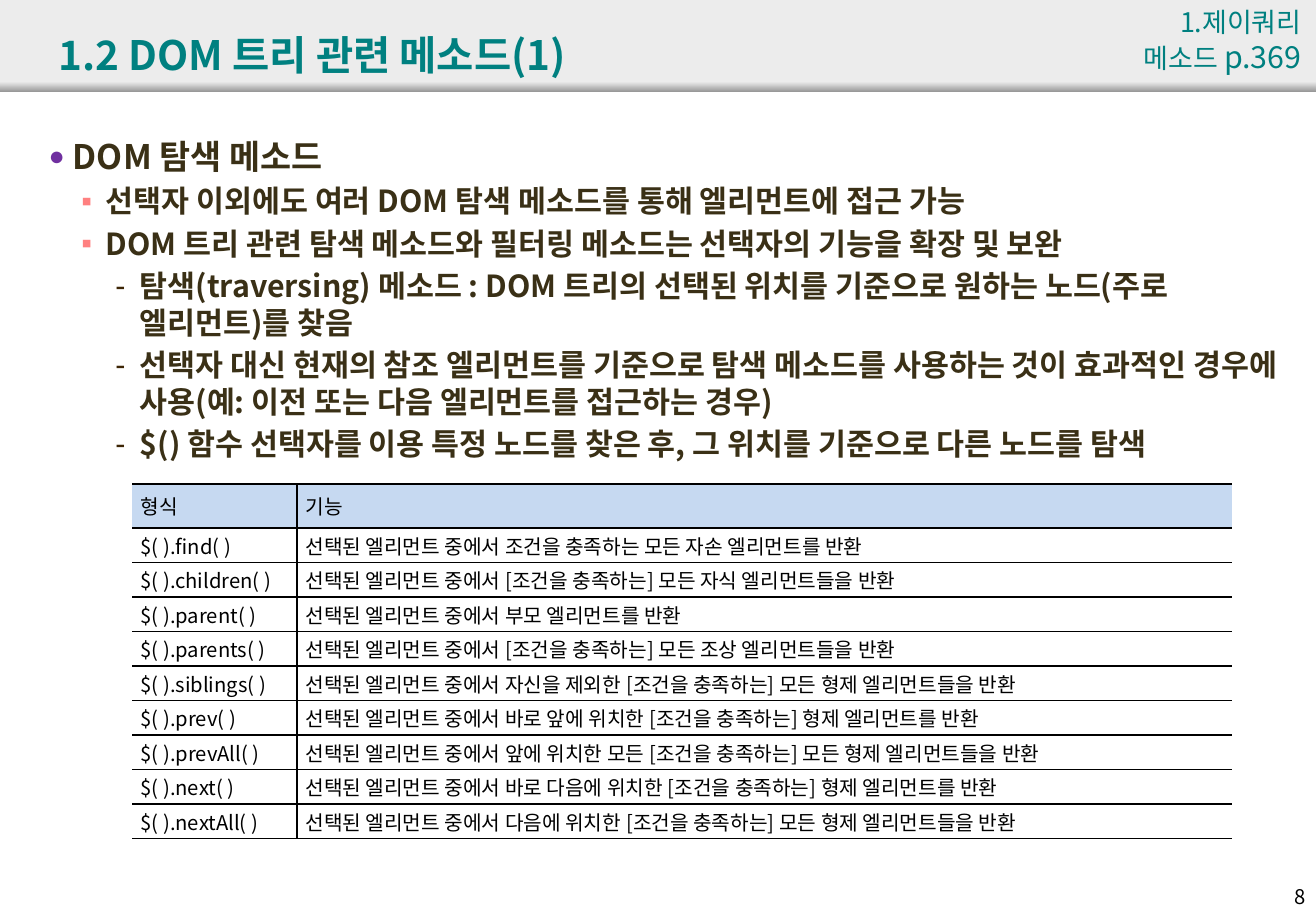
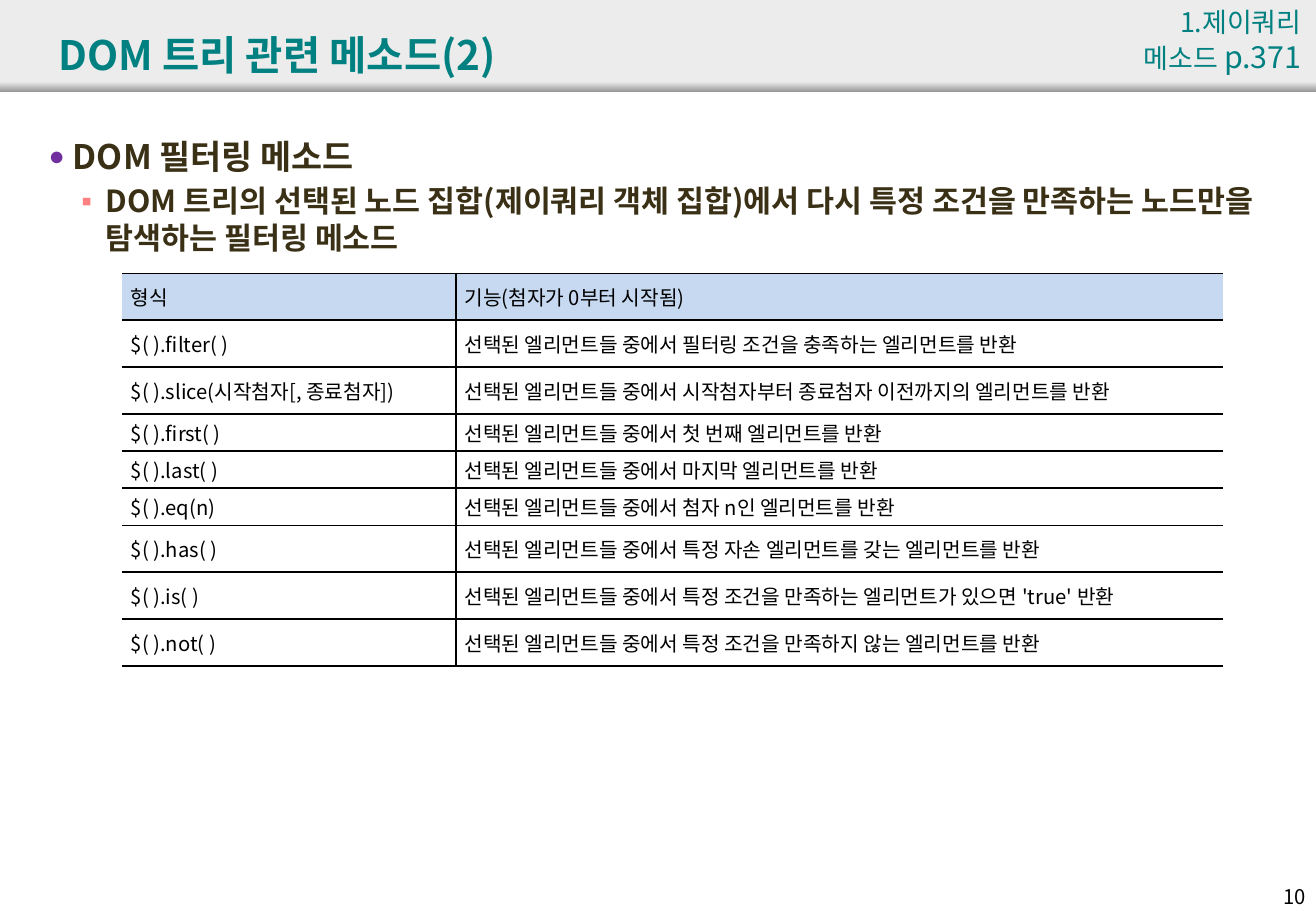
import pptx
import pptx.util
import pptx.dml.color
import pptx.enum.shapes
import pptx.enum.text
import pptx.oxml
import lxml.etree

Pt = pptx.util.Pt
ALIGN = pptx.enum.text.PP_ALIGN
ANCHOR = pptx.enum.text.MSO_ANCHOR
FONT = "Noto Sans CJK KR"
A = "http://schemas.openxmlformats.org/drawingml/2006/main"
NO_STYLE = "{2D5ABB26-0587-4C30-8999-92F81FD0307C}"
W, H = 780, 540
TEAL, BROWN, BLACK, GREY, HEAD = "008080", "3A3016", "000000", "ECECEC", "C6D9F1"

LEVELS = [
    {"indent": 14.4, "size": 20, "marks": '<a:buClr><a:srgbClr val="7030A0"/></a:buClr><a:buSzPct val="80000"/><a:buChar char="●"/>'},
    {"indent": 33.84, "size": 18, "marks": '<a:buClr><a:srgbClr val="FF8080"/></a:buClr><a:buChar char="▪"/>'},
    {"indent": 54, "size": 18, "marks": '<a:buClr><a:srgbClr val="3D2505"/></a:buClr><a:buChar char="-"/>'},
]

SLIDES = [
    {
        "title": "1.2 DOM 트리 관련 메소드(1)", "page": "p.369", "number": "8",
        "body": [
            (0, "DOM 탐색 메소드"),
            (1, "선택자 이외에도 여러 DOM 탐색 메소드를 통해 엘리먼트에 접근 가능"),
            (1, "DOM 트리 관련 탐색 메소드와 필터링 메소드는 선택자의 기능을 확장 및 보완"),
            (2, "탐색(traversing) 메소드 : DOM 트리의 선택된 위치를 기준으로 원하는 노드(주로 엘리먼트)를 찾음"),
            (2, "선택자 대신 현재의 참조 엘리먼트를 기준으로 탐색 메소드를 사용하는 것이 효과적인 경우에 사용(예: 이전 또는 다음 엘리먼트를 접근하는 경우)"),
            (2, "$() 함수 선택자를 이용 특정 노드를 찾은 후, 그 위치를 기준으로 다른 노드를 탐색"),
        ],
        "at": (78.3, 287), "cols": (97.7, 554.5), "heights": [26.1] + [20.45] * 9,
        "rows": [
            ("형식", "기능"),
            ("$( ).find( )", "선택된 엘리먼트 중에서 조건을 충족하는 모든 자손 엘리먼트를 반환"),
            ("$( ).children( )", "선택된 엘리먼트 중에서 [조건을 충족하는] 모든 자식 엘리먼트들을 반환"),
            ("$( ).parent( )", "선택된 엘리먼트 중에서 부모 엘리먼트를 반환"),
            ("$( ).parents( )", "선택된 엘리먼트 중에서 [조건을 충족하는] 모든 조상 엘리먼트들을 반환"),
            ("$( ).siblings( )", "선택된 엘리먼트 중에서 자신을 제외한 [조건을 충족하는] 모든 형제 엘리먼트들을 반환"),
            ("$( ).prev( )", "선택된 엘리먼트 중에서 바로 앞에 위치한 [조건을 충족하는] 형제 엘리먼트를 반환"),
            ("$( ).prevAll( )", "선택된 엘리먼트 중에서 앞에 위치한 모든 [조건을 충족하는] 모든 형제 엘리먼트들을 반환"),
            ("$( ).next( )", "선택된 엘리먼트 중에서 바로 다음에 위치한 [조건을 충족하는] 형제 엘리먼트를 반환"),
            ("$( ).nextAll( )", "선택된 엘리먼트 중에서 다음에 위치한 [조건을 충족하는] 모든 형제 엘리먼트들을 반환"),
        ],
    },
    {
        "title": "DOM 트리 관련 메소드(2)", "page": "p.371", "number": "10",
        "body": [
            (0, "DOM 필터링 메소드"),
            (1, "DOM 트리의 선택된 노드 집합(제이쿼리 객체 집합)에서 다시 특정 조건을 만족하는 노드만을 탐색하는 필터링 메소드"),
        ],
        "at": (72.5, 162), "cols": (197.7, 454.5), "heights": [27.8] * 3 + [22] * 3 + [27.8] * 3,
        "rows": [
            ("형식", "기능(첨자가 0부터 시작됨)"),
            ("$( ).filter( )", "선택된 엘리먼트들 중에서 필터링 조건을 충족하는 엘리먼트를 반환"),
            ("$( ).slice(시작첨자[, 종료첨자])", "선택된 엘리먼트들 중에서 시작첨자부터 종료첨자 이전까지의 엘리먼트를 반환"),
            ("$( ).first( )", "선택된 엘리먼트들 중에서 첫 번째 엘리먼트를 반환"),
            ("$( ).last( )", "선택된 엘리먼트들 중에서 마지막 엘리먼트를 반환"),
            ("$( ).eq(n)", "선택된 엘리먼트들 중에서 첨자 n인 엘리먼트를 반환"),
            ("$( ).has( )", "선택된 엘리먼트들 중에서 특정 자손 엘리먼트를 갖는 엘리먼트를 반환"),
            ("$( ).is( )", "선택된 엘리먼트들 중에서 특정 조건을 만족하는 엘리먼트가 있으면 'true' 반환"),
            ("$( ).not( )", "선택된 엘리먼트들 중에서 특정 조건을 만족하지 않는 엘리먼트를 반환"),
        ],
    },
]


def paint(target, color):
    if hasattr(target, "solid"):
        target.solid()
        target = target.fore_color
    else:
        target = target.color
    target.rgb = pptx.dml.color.RGBColor.from_string(color)


def write(p, text, size, color, bold=False, align=ALIGN.LEFT):
    p.alignment = align
    r = p.add_run()
    r.text = text
    for key, value in {"name": FONT, "size": Pt(size), "bold": bold}.items():
        setattr(r.font, key, value)
    paint(r.font, color)
    lxml.etree.SubElement(r.font._element, f"{{{A}}}ea", typeface=FONT)


prs = pptx.Presentation()
prs.slide_width, prs.slide_height = Pt(W), Pt(H)
layout = prs.slide_layouts[1]

for i, spec_slide in enumerate(SLIDES):
    s = prs.slides.add_slide(layout)

    if i == 0:
        for z, (top, height) in enumerate([(0, 54), (48.5, 6)], start=2):
            band = s.shapes.add_shape(pptx.enum.shapes.MSO_SHAPE.RECTANGLE, 0, Pt(top), Pt(W), Pt(height))
            band.shadow.inherit = False
            band.line.fill.background()
            paint(band.fill, GREY)
            if top:
                band.fill.gradient()
                band.fill.gradient_angle = 270
                for stop, color in zip(band.fill.gradient_stops, (GREY, "979797")):
                    paint(stop, color)
            prs.slide_master.shapes.element.insert(z, band.element)

    title, body = s.placeholders
    for sp, box, anchor in [
        (title, (27.4, 9.4, 714, 45), ANCHOR.MIDDLE),
        (body, (21.6, 77, 743, 448), ANCHOR.TOP),
    ]:
        for key, value in zip(("left", "top", "width", "height"), box):
            setattr(sp, key, Pt(value))
        for key, value in {"vertical_anchor": anchor, "word_wrap": True,
                           "auto_size": pptx.enum.text.MSO_AUTO_SIZE.NONE}.items():
            setattr(sp.text_frame, key, value)
    write(title.text_frame.paragraphs[0], spec_slide["title"], 24, TEAL, True)

    tf = body.text_frame
    for n, (level, text) in enumerate(spec_slide["body"]):
        p = tf.add_paragraph() if n else tf.paragraphs[0]
        fmt = LEVELS[level]
        p.level = level
        write(p, text, fmt["size"], BROWN, True)
        pPr = p._p.get_or_add_pPr()
        pPr.set("marL", str(Pt(fmt["indent"])))
        pPr.set("indent", str(Pt(-14.4)))
        for mark in pptx.oxml.parse_xml(f'<a:pPr xmlns:a="{A}">{fmt["marks"]}</a:pPr>'):
            pPr.append(mark)

    rows, cols = spec_slide["rows"], spec_slide["cols"]
    left, top = spec_slide["at"]
    frame = s.shapes.add_table(len(rows), 2, Pt(left), Pt(top), Pt(sum(cols)), Pt(sum(spec_slide["heights"])))
    tbl = frame.table
    tbl.first_row = tbl.horz_banding = False
    frame.element.find(f".//{{{A}}}tableStyleId").text = NO_STYLE
    for c, width in enumerate(cols):
        tbl.columns[c].width = Pt(width)
    for y, (height, texts) in enumerate(zip(spec_slide["heights"], rows)):
        tbl.rows[y].height = Pt(height)
        for x, text in enumerate(texts):
            cell = tbl.cell(y, x)
            for key, value in {"margin_left": Pt(5.1), "margin_right": Pt(5.1), "margin_top": 0,
                               "margin_bottom": 0, "vertical_anchor": ANCHOR.MIDDLE}.items():
                setattr(cell, key, value)
            write(cell.text_frame.paragraphs[0], text, 12, BLACK, align=ALIGN.JUSTIFY)
            tcPr = cell._tc.get_or_add_tcPr()
            for side in ("lnL" if x else "lnR", "lnT", "lnB"):
                tcPr.append(pptx.oxml.parse_xml(
                    f'<a:{side} xmlns:a="{A}" w="12700"><a:solidFill><a:srgbClr val="{BLACK}"/></a:solidFill></a:{side}>'))
            if y:
                cell.fill.background()
            else:
                paint(cell.fill, HEAD)

    for box, runs in [
        ((650, 0, 128.5, 29), [("1.제이쿼리 메소드 ", 16, TEAL), (spec_slide["page"], 18, TEAL)]),
        ((741.6, 520.5, 39.4, 21.5), [(spec_slide["number"], 12, BLACK)]),
    ]:
        tf = s.shapes.add_textbox(*map(Pt, box)).text_frame
        tf.word_wrap = True
        for text, size, color in runs:
            write(tf.paragraphs[0], text, size, color, align=ALIGN.RIGHT)

prs.save("out.pptx")
